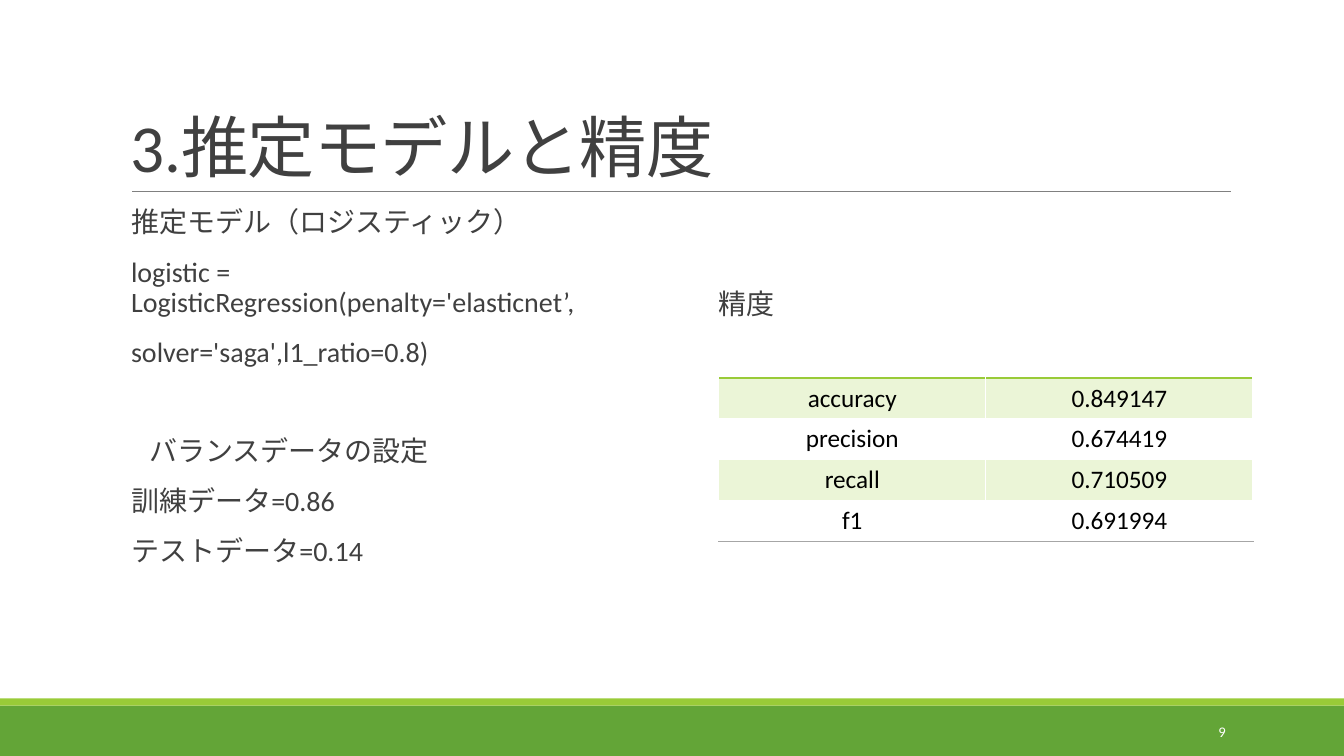
import pptx
import pptx.util
import pptx.dml.color
import pptx.enum.shapes
import pptx.enum.text
import pptx.oxml.ns
import lxml.etree as etree

ALIGN = pptx.enum.text.PP_ALIGN
ANCHOR = pptx.enum.text.MSO_ANCHOR
CELL = 0.1  # grid pitch in inches
WIDE, HIGH = 133.33, 75
LIME, GREEN, INK = "99CB38", "63A537", "404040"


def grid(*counts):
    return [pptx.util.Inches(n * CELL) for n in counts]


def color(code):
    return pptx.dml.color.RGBColor.from_string(code)


class Deck:
    """Style and current slide; all lengths are grid cells."""

    def __init__(self):
        self.file = pptx.Presentation()
        self.file.slide_width, self.file.slide_height = grid(WIDE, HIGH)
        self.slide = self.file.slides.add_slide(self.file.slide_layouts[6])
        self.font = "Calibri"

    def style(self, para, size, code, align=ALIGN.LEFT):
        para.font.name = self.font
        para.font.size = pptx.util.Pt(size)
        para.font.color.rgb = color(code)
        para.alignment = align

    def bar(self, top, high, code):
        kind = pptx.enum.shapes.MSO_SHAPE.RECTANGLE
        shape = self.slide.shapes.add_shape(kind, *grid(0, top, WIDE, high))
        shape.shadow.inherit = False
        shape.fill.solid()
        shape.fill.fore_color.rgb = color(code)
        shape.line.fill.background()

    def rule(self, left, right, top, code):
        kind = pptx.enum.shapes.MSO_CONNECTOR.STRAIGHT
        line = self.slide.shapes.add_connector(kind, *grid(left, top, right, top))
        line.line.color.rgb = color(code)
        line.line.width = pptx.util.Pt(0.5)
        props = line._element.spPr
        etree.SubElement(props, pptx.oxml.ns.qn("a:effectLst"))

    def text(self, box, lines, size, code=INK, align=ALIGN.LEFT,
             anchor=ANCHOR.TOP, side=1, pitch=1.0, before=0, after=0, track=0):
        """Each line is its wording, its indent and its extra space above."""
        frame = self.slide.shapes.add_textbox(*grid(*box)).text_frame
        frame.word_wrap = True
        frame.vertical_anchor = anchor
        frame.margin_left, frame.margin_right = grid(side, side)
        for i, (words, indent, extra) in enumerate(lines):
            para = frame.add_paragraph() if i else frame.paragraphs[0]
            run = para.add_run()
            run.text = words
            mark = run._r.get_or_add_rPr()
            mark.set("lang", "ja-JP")
            if track:
                mark.set("spc", str(track))
            self.style(para, size, code, align)
            para.line_spacing = pitch
            para.space_before = pptx.util.Pt(before + extra)
            para.space_after = pptx.util.Pt(after)
            para._p.get_or_add_pPr().set("marL", str(grid(indent)[0]))

    def edge(self, cell, side, code, width):
        props = cell._tc.get_or_add_tcPr()
        line = etree.Element(pptx.oxml.ns.qn("a:" + side),
                             w=str(pptx.util.Pt(width)))
        fill = etree.SubElement(line, pptx.oxml.ns.qn("a:solidFill"))
        etree.SubElement(fill, pptx.oxml.ns.qn("a:srgbClr"), val=code)
        props.insert(0, line)

    def table(self, box, rows, size, band):
        shape = self.slide.shapes.add_table(len(rows), len(rows[0]), *grid(*box))
        table = shape.table
        table.first_row = table.horz_banding = False
        for r, row in enumerate(rows):
            for c, words in enumerate(row):
                cell = table.cell(r, c)
                cell.text = words
                self.style(cell.text_frame.paragraphs[0], size, "000000",
                           ALIGN.CENTER)
                if r % 2:
                    cell.fill.background()
                else:
                    cell.fill.solid()
                    cell.fill.fore_color.rgb = color(band)
                if r == 0:
                    self.edge(cell, "lnT", LIME, 1.5)
                if r == len(rows) - 1:
                    self.edge(cell, "lnB", "A6A6A6", 0.5)


deck = Deck()

# Footer bands and title rule
deck.bar(70, 5, GREEN)
deck.bar(69.3, 0.7, LIME)
deck.rule(13.1, 122.1, 19, "808080")

# Title
deck.text((12, 3.1, 110, 15.9), [("3.推定モデルと精度", 0, 0)], 48,
          anchor=ANCHOR.BOTTOM, pitch=0.85, track=-50)

# Model and data split
body = dict(size=20, side=0, pitch=0.9, before=12, after=2)
deck.text((12, 20.2, 54, 44), [
    ("推定モデル（ロジスティック）", 1, 0),
    ("logistic = LogisticRegression(penalty='elasticnet’,", 1, 0),
    ("solver='saga',l1_ratio=0.8)", 1, 0),
    ("バランスデータの設定", 2.8, 35),
    ("訓練データ=0.86", 1, 0),
    ("テストデータ=0.14", 1, 0),
], **body)

# Scores
deck.text((71.3, 28.3, 54, 5), [("精度", 0, 0)], **body)
deck.table((71.3, 37.5, 53, 16.2), [
    ("accuracy", "0.849147"),
    ("precision", "0.674419"),
    ("recall", "0.710509"),
    ("f1", "0.691994"),
], 18, "EBF5D7")

# Page number
deck.text((108.3, 70.6, 14.3, 4), [("9", 0, 0)], 10.5, "FFFFFF",
          ALIGN.RIGHT, ANCHOR.MIDDLE)

deck.file.save("out.pptx")
